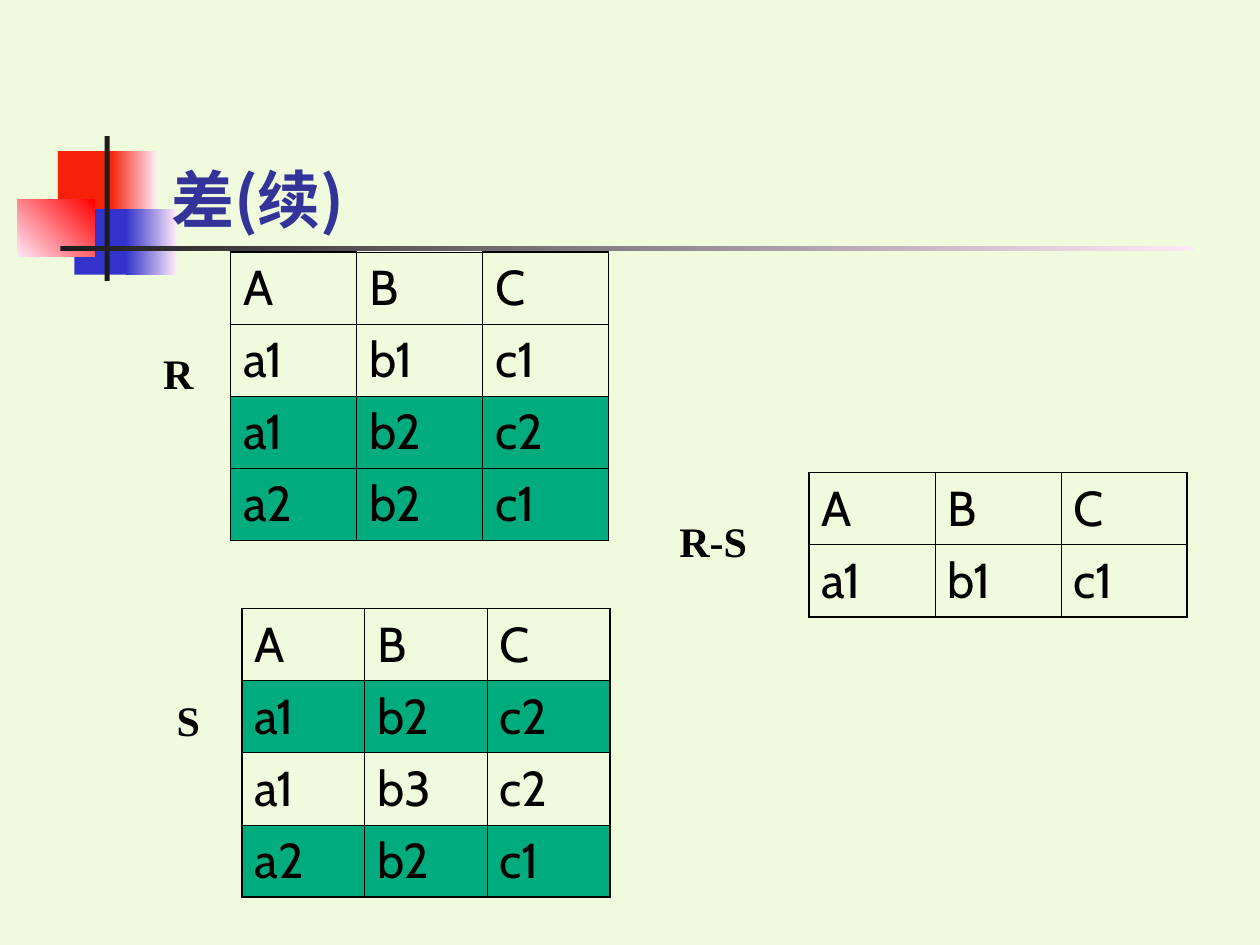
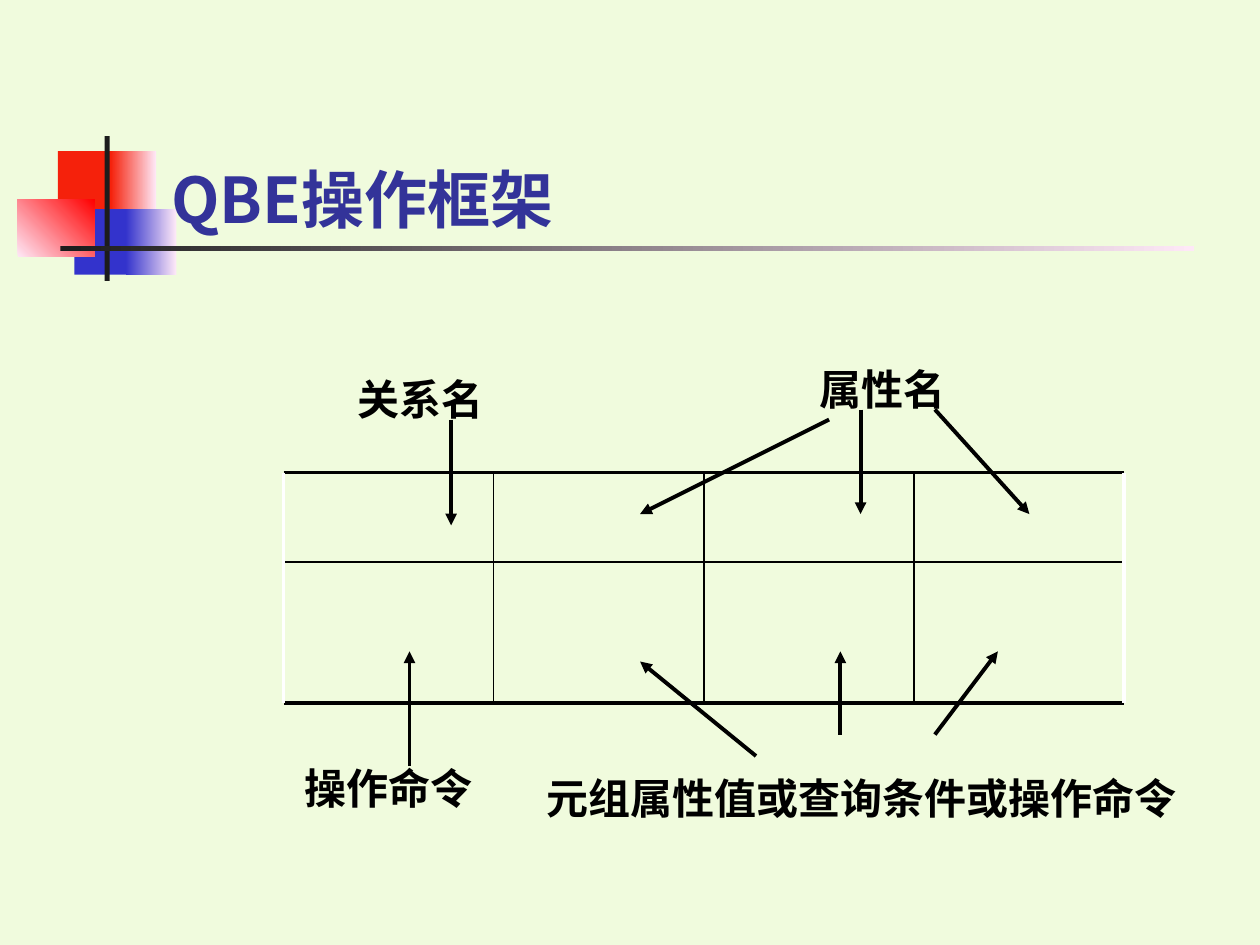
from dataclasses import dataclass

from lxml import etree
from pptx import Presentation
from pptx.dml.color import RGBColor
from pptx.enum.shapes import MSO_CONNECTOR, MSO_SHAPE
from pptx.enum.text import MSO_ANCHOR, PP_ALIGN
from pptx.oxml.ns import qn
from pptx.util import Inches, Pt

RECT = MSO_SHAPE.RECTANGLE
STRAIGHT = MSO_CONNECTOR.STRAIGHT
LEFT, CENTER = PP_ALIGN.LEFT, PP_ALIGN.CENTER
MIDDLE, BOTTOM = MSO_ANCHOR.MIDDLE, MSO_ANCHOR.BOTTOM


@dataclass(frozen=True)
class Theme:
    """Colours, fonts, type sizes and line widths of the deck."""
    background: str = "F0FBDD"
    title: str = "333399"
    ink: str = "000000"
    white: str = "FFFFFF"
    bar: str = "1C1C1C"
    red: str = "F5210B"
    bright_red: str = "FF0000"
    blue: str = "3333CC"
    fade: str = "FEE8F7"
    match: str = "00AB7E"
    cjk_font: str = "Noto Sans CJK SC"
    label_font: str = "Times New Roman"
    cell_font: str = "Cabin"
    title_size: float = 36
    label_size: float = 24
    cell_size: float = 28
    outer_border: float = 1.08
    inner_border: float = 0.45
    thick: float = 2.25
    thin: float = 1


def write_text(tf, text, *, font, size, color, bold=False, align=LEFT):
    """Write one formatted paragraph into a text frame."""
    p = tf.paragraphs[0]
    p.alignment = align
    r = p.add_run()
    r.text = text
    r.font.name = font
    r.font.size = Pt(size)
    r.font.bold = bold
    r.font.color.rgb = RGBColor.from_string(color)
    etree.SubElement(r.font._element, qn("a:ea"), typeface=font)


class Deck:
    """Holds the theme, the presentation and the current slide."""

    def __init__(self, theme):
        """Start an empty presentation."""
        self.theme = theme
        self.prs = Presentation()
        self.prs.slide_width = Inches(10)
        self.prs.slide_height = Inches(7.5)
        self.s = None

    def slide(self, title):
        """Add a slide with the shared background, ornament and title."""
        t = self.theme
        self.s = self.prs.slides.add_slide(self.prs.slide_layouts[6])
        fill = self.s.background.fill
        fill.solid()
        fill.fore_color.rgb = RGBColor.from_string(t.background)
        self.block(0.46, 1.2, 0.48, 0.52, t.red)
        self.block(0.88, 1.2, 0.36, 0.52, t.red, t.fade)
        self.block(0.59, 1.66, 0.46, 0.52, t.blue)
        self.block(1, 1.66, 0.4, 0.52, t.blue, t.fade)
        self.block(0.14, 1.58, 0.61, 0.46, t.fade, t.bright_red, angle=45)
        self.block(0.83, 1.08, 0.04, 1.15, t.bar)
        self.block(0.48, 1.95, 9, 0.04, t.bar, t.fade)
        box = self.s.shapes.add_textbox(Inches(1.26), Inches(0.67), Inches(8.52), Inches(1.25))
        tf = box.text_frame
        tf.word_wrap = True
        tf.vertical_anchor = BOTTOM
        write_text(tf, title, font=t.cjk_font, size=t.title_size, color=t.title, bold=True)

    def rectangle(self, x, y, w, h):
        """Add a rectangle without shadow or outline."""
        sp = self.s.shapes.add_shape(RECT, Inches(x), Inches(y), Inches(w), Inches(h))
        sp.shadow.inherit = False
        sp.line.fill.background()
        return sp

    def block(self, x, y, w, h, start, end=None, angle=0):
        """Add a coloured rectangle, plain or fading to a second colour."""
        sp = self.rectangle(x, y, w, h)
        if end is None:
            sp.fill.solid()
            sp.fill.fore_color.rgb = RGBColor.from_string(start)
            return
        sp.fill.gradient()
        sp.fill.gradient_angle = angle
        for stop, color in zip(sp.fill.gradient_stops, (start, end)):
            stop.color.rgb = RGBColor.from_string(color)

    def label(self, text, x, y, w, h, font):
        """Add a bold one-line label centred on an unfilled rectangle."""
        t = self.theme
        sp = self.rectangle(x, y, w, h)
        sp.fill.background()
        tf = sp.text_frame
        tf.word_wrap = False
        tf.vertical_anchor = MIDDLE
        write_text(tf, text, font=font, size=t.label_size, color=t.ink,
                   bold=True, align=CENTER)

    def line(self, start, end, width, color=None, arrow=False):
        """Add a straight line, with an arrowhead at its end if asked."""
        points = [Inches(v) for v in (*start, *end)]
        cxn = self.s.shapes.add_connector(STRAIGHT, *points)
        cxn.line.width = Pt(width)
        cxn.line.color.rgb = RGBColor.from_string(color or self.theme.ink)
        if arrow:
            etree.SubElement(cxn.line._get_or_add_ln(), qn("a:tailEnd"), type="triangle")
        etree.SubElement(cxn._element.spPr, qn("a:effectLst"))

    def border(self, cell, side, width):
        """Draw one side of a cell."""
        ln = etree.SubElement(cell._tc.get_or_add_tcPr(), qn(f"a:ln{side}"), w=str(Pt(width)))
        fill = etree.SubElement(ln, qn("a:solidFill"))
        etree.SubElement(fill, qn("a:srgbClr"), val=self.theme.ink)

    def relation(self, x, y, w, rows, matches=()):
        """Add a relation table whose matching rows are filled."""
        t = self.theme
        row_height = Inches(2.29) // 4
        last_row, last_col = len(rows) - 1, len(rows[0]) - 1
        frame = self.s.shapes.add_table(len(rows), len(rows[0]), Inches(x), Inches(y),
                                        Inches(w), row_height * len(rows))
        table = frame.table
        table.first_row = table.horz_banding = False
        for i, values in enumerate(rows):
            table.rows[i].height = row_height
            for j, value in enumerate(values):
                cell = table.cell(i, j)
                outer = {"L": j == 0, "R": j == last_col,
                         "T": i == 0 and j in (0, last_col), "B": i == last_row}
                for side, is_outer in outer.items():
                    self.border(cell, side, t.outer_border if is_outer else t.inner_border)
                if i in matches:
                    cell.fill.solid()
                    cell.fill.fore_color.rgb = RGBColor.from_string(t.match)
                else:
                    cell.fill.background()
                write_text(cell.text_frame, value, font=t.cell_font,
                           size=t.cell_size, color=t.ink)


def difference_slide(deck):
    """Show the relations R and S and their difference."""
    font = deck.theme.label_font
    deck.slide("差(续)")
    header = ("A", "B", "C")
    deck.relation(1.83, 2, 3, [header, ("a1", "b1", "c1"), ("a1", "b2", "c2"),
                               ("a2", "b2", "c1")], matches=(2, 3))
    deck.relation(6.42, 3.75, 3, [header, ("a1", "b1", "c1")])
    deck.relation(1.92, 4.83, 2.92, [header, ("a1", "b2", "c2"), ("a1", "b3", "c2"),
                                     ("a2", "b2", "c1")], matches=(1, 3))
    deck.label("R", 1.25, 2.5, 0.33, 0.92, font)
    deck.label("S", 1.33, 5.25, 0.33, 0.92, font)
    deck.label("R-S", 5.2, 3.83, 0.92, 0.92, font)


def qbe_slide(deck):
    """Show the QBE grid and what each part of it holds."""
    t = deck.theme
    deck.slide("QBE操作框架")
    left, right, top, bottom = 2.25, 8.92, 3.75, 5.58
    for y, width in ((top, t.thick), (4.46, t.thin), (bottom, t.thick)):
        deck.line((left, y), (right, y), width)
    columns = 4
    for i in range(columns + 1):
        x = left + (right - left) * i / columns
        edge = i in (0, columns)
        deck.line((x, top), (x, bottom), t.thick if edge else t.thin,
                  t.white if edge else t.ink)
    for text, x, y, w in (("关系名", 2.75, 2.83, 1.17),
                          ("属性名", 6.42, 2.75, 1.17),
                          ("操作命令", 2.5, 5.92, 1.17),
                          ("元组属性值或查询条件或操作命令", 5.67, 6, 2.33)):
        deck.label(text, x, y, w, 0.67, t.cjk_font)
    for start, end in (((3.58, 3.33), (3.58, 4.17)),
                       ((3.25, 6.08), (3.25, 5.17)),
                       ((6.67, 5.83), (6.67, 5.17)),
                       ((7.42, 5.83), (7.92, 5.17)),
                       ((6, 6), (5.08, 5.25)),
                       ((6.83, 3.25), (6.83, 4.08)),
                       ((6.58, 3.33), (5.08, 4.08)),
                       ((7.42, 3.25), (8.17, 4.08))):
        deck.line(start, end, t.thick, arrow=True)


def main():
    """Build both slides and save the deck."""
    deck = Deck(Theme())
    difference_slide(deck)
    qbe_slide(deck)
    deck.prs.save("out.pptx")


if __name__ == "__main__":
    main()
